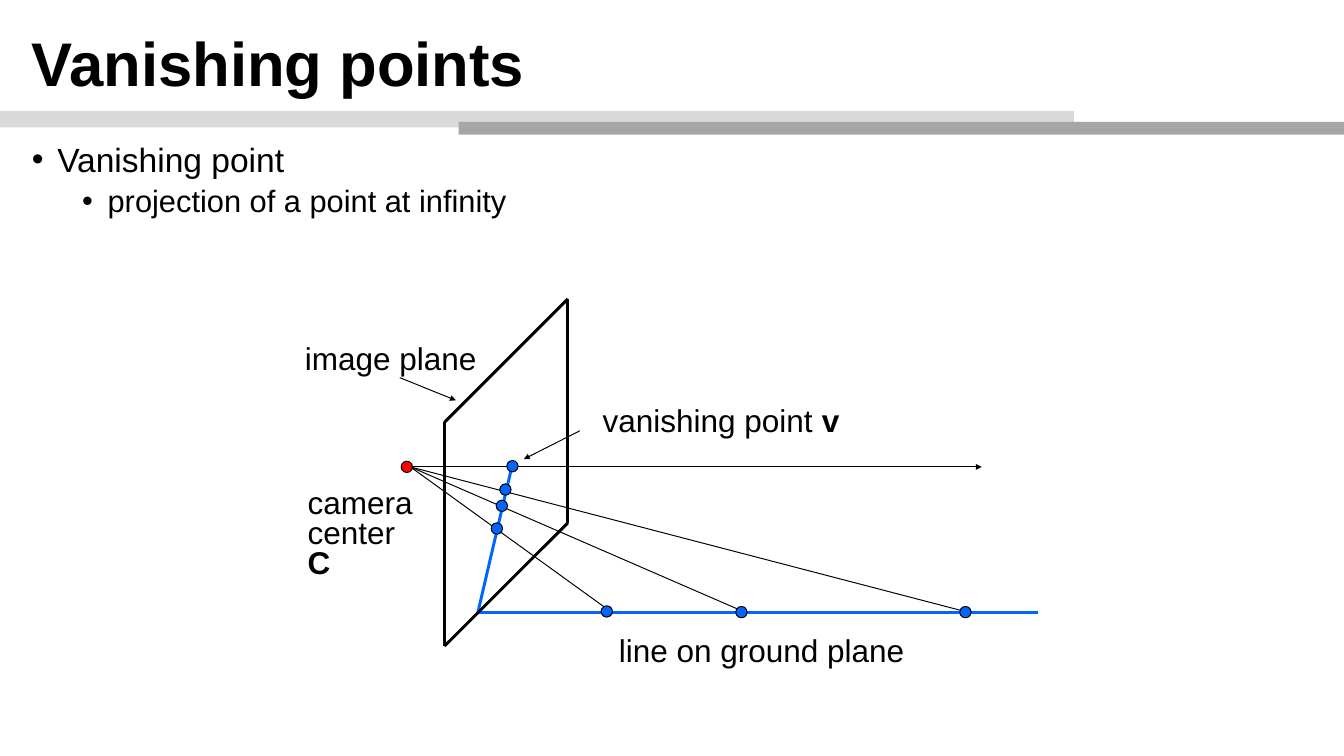
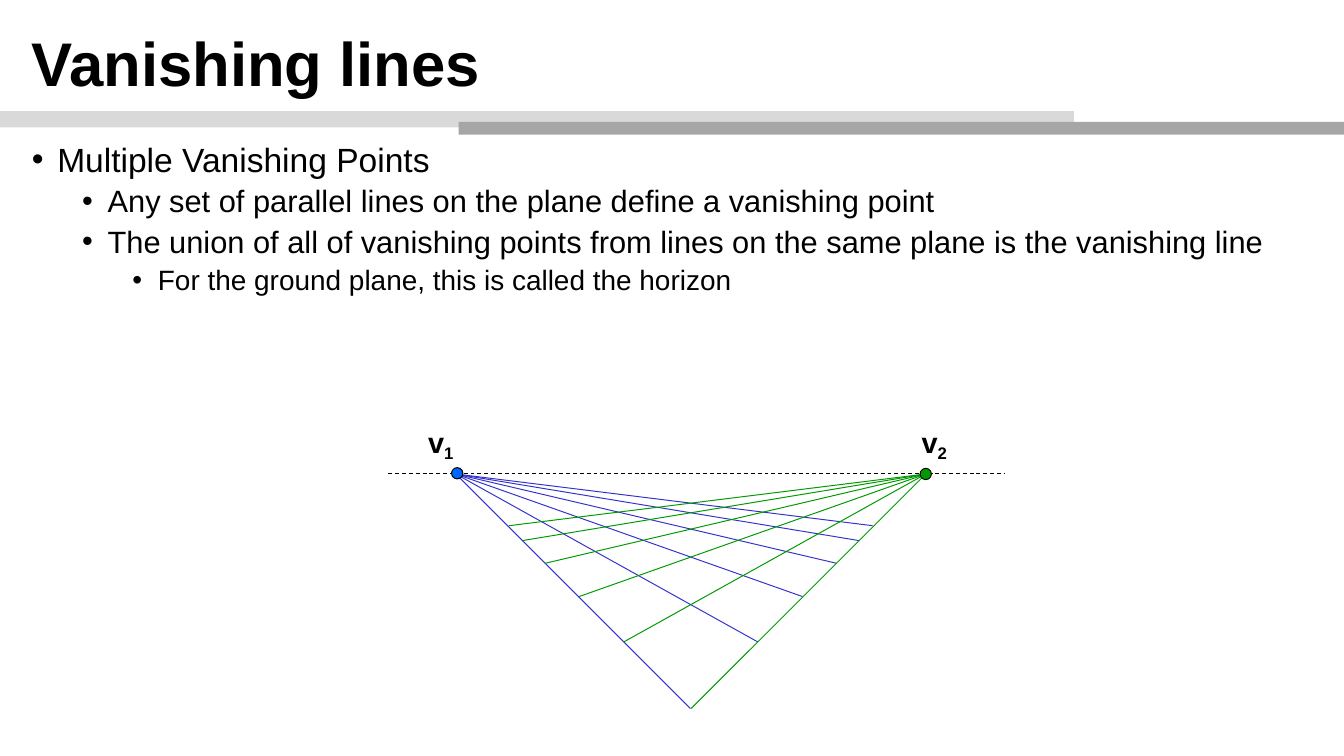
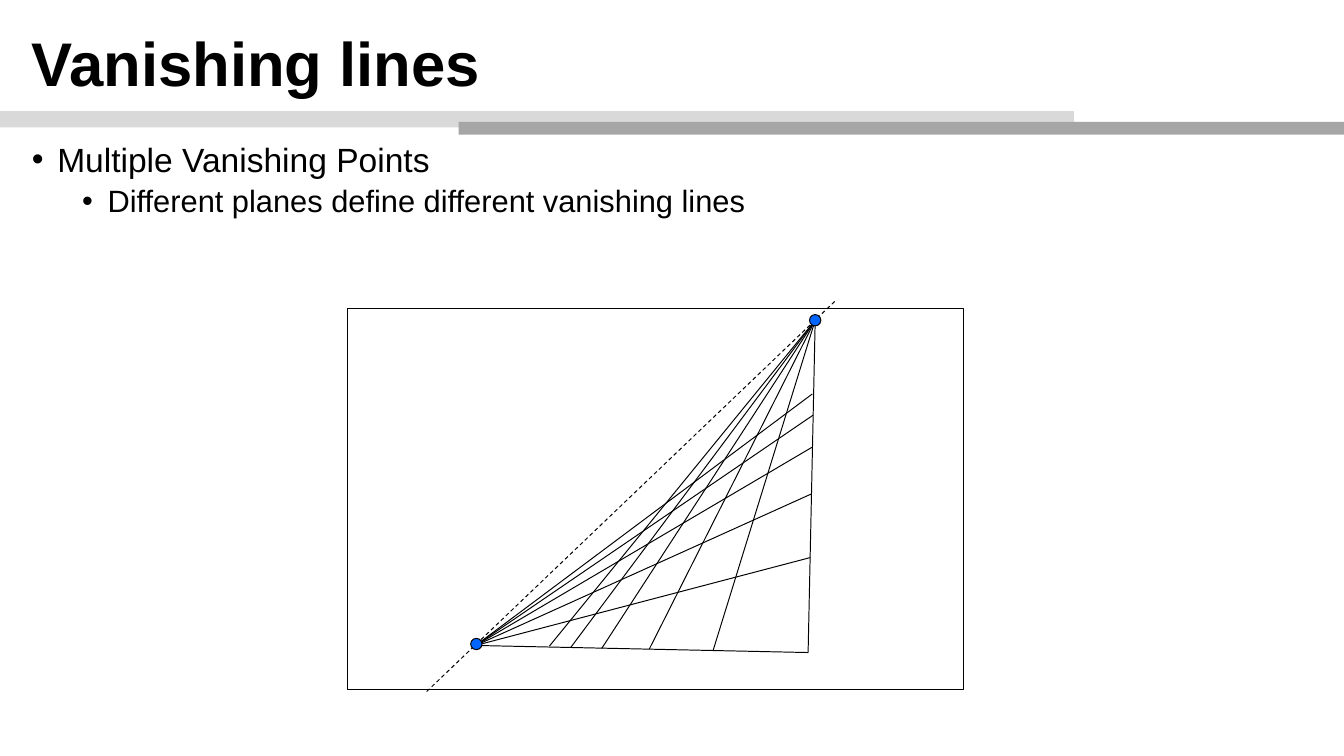
from lxml import etree
from pptx import Presentation
from pptx import util as u
from pptx.dml.color import RGBColor
from pptx.enum import dml, shapes, text
from pptx.oxml.ns import qn

PX = 9144
FONT = "Arial"
COLORS = {
    "white": "FFFFFF", "black": "000000", "light": "D9D9D9", "dark": "A6A6A6",
    "blue": "0066FF", "red": "FF0000", "green": "009900", "indigo": "3333CC",
}
SLIDE_SIZE = (1896, 1067)
BANDS = [((0, 157, 1515, 23), "light"), ((647, 172, 1249, 18), "dark")]
TITLE_BOX = (35, 22, 1823, 144)
TITLE_SIZE = 62.6
BODY_BOX = (35, 197, 1826, 848)
BODY_SIZES = [34.1, 31.3, 28.4]
HANGING = 36
LEVEL_STEP = 71
DOT = 16

POINT_TITLE = "Vanishing points"
POINT_BULLETS = [(0, "Vanishing point"), (1, "projection of a point at infinity")]
CAMERA = (579, 659)
GROUND_START = (674, 865)
GROUND_END = (1464, 865)
VANISHING = (722, 659)
HORIZON_END = (1385, 659)
GROUND_POINTS = [(864, 865), (1053, 865), (1369, 865)]
IMAGE_PLANE = [(801, 422), (801, 738), (627, 912), (627, 596)]
POINTERS = [((564, 533), (643, 565)), ((818, 608), (739, 648))]
POINT_DOTS = [(856, 863), (701, 746), (708, 714), (1046, 864),
              (713, 691), (1362, 864), (723, 658)]
CAMERA_DOT = (574, 659)
POINT_LABELS = [
    ((421, 470, 263, 73), [[("image plane", "")]]),
    ((864, 881, 425, 73), [[("line on ground plane", "")]]),
    ((841, 557, 355, 73), [[("vanishing point ", ""), ("v", "bold")]]),
    ((425, 672, 169, 159), [[("camera", "")], [("center", "")], [("C", "bold")]]),
]

LINES_TITLE = "Vanishing lines"
HORIZON_BULLETS = [
    (0, "Multiple Vanishing Points"),
    (1, "Any set of parallel lines on the plane define a vanishing point"),
    (1, "The union of all of vanishing points from lines on the same plane is the vanishing line"),
    (2, "For the ground plane, this is called the horizon"),
]
HORIZON = ((548, 669), (1417, 669))
V1, V2 = (643, 669), (1306, 669)
V1_ENDS = [(974, 1000), (1069, 906), (1132, 842), (1180, 795), (1212, 763), (1231, 742)]
V1_DOT, V2_DOT = (645, 668), V2
V_LABELS = [((595, 590, 79, 69), "1"), ((1291, 590, 79, 69), "2")]

PLANES_BULLETS = [
    (0, "Multiple Vanishing Points"),
    (1, "Different planes define different vanishing lines"),
]
FRAME = (490, 436, 869, 537)
TILTED_LINE = ((602, 976), (1178, 425))
LOWER, UPPER = (671, 911), (1150, 452)
LOWER_ENDS = [(1140, 921), (1143, 787), (1145, 697), (1146, 631), (1147, 586), (1146, 556)]
UPPER_ENDS = [(1140, 921), (1006, 918), (916, 916), (849, 915), (805, 914), (775, 912)]
PLANES_DOTS = [(1150, 452), (672, 909)]


def rgb(name):
    return RGBColor.from_string(COLORS[name])


def emu(values):
    return [value * PX for value in values]


def shape(slide, kind, box, fill=None, outline=None):
    item = slide.shapes.add_shape(kind, *emu(box))
    item.shadow.inherit = False
    if fill:
        item.fill.solid()
        item.fill.fore_color.rgb = rgb(fill)
    else:
        item.fill.background()
    if outline:
        item.line.color.rgb = rgb(outline)
        item.line.width = u.Pt(1)
    else:
        item.line.fill.background()


def dot(slide, center, fill="blue"):
    x, y = center
    shape(slide, shapes.MSO_SHAPE.OVAL, (x - DOT // 2, y - DOT // 2, DOT, DOT), fill, "black")


def line(slide, start, end, color="black", width=1, dashed=False, arrow=False):
    item = slide.shapes.add_connector(shapes.MSO_CONNECTOR.STRAIGHT, *emu(start + end))
    item.line.color.rgb = rgb(color)
    item.line.width = u.Pt(width)
    if dashed:
        item.line.dash_style = dml.MSO_LINE.DASH
    properties = item.element.spPr
    if arrow:
        etree.SubElement(properties.find(qn("a:ln")), qn("a:tailEnd"), type="triangle")
    etree.SubElement(properties, qn("a:effectLst"))


def fan(slide, apex, ends, color="black"):
    for end in ends:
        line(slide, apex, end, color)


def text_frame(slide, box, insets, wrap=True):
    frame = slide.shapes.add_textbox(*emu(box)).text_frame
    frame.word_wrap = wrap
    frame.margin_left = frame.margin_right = insets[0] * PX
    frame.margin_top = frame.margin_bottom = insets[1] * PX
    return frame


def paragraph_at(frame, index):
    return frame.add_paragraph() if index else frame.paragraphs[0]


def add_run(paragraph, words, size, bold=False):
    run = paragraph.add_run()
    run.text = words
    run.font.name = FONT
    run.font.size = u.Pt(size)
    run.font.bold = bold
    run.font.color.rgb = rgb("black")
    return run


def label(slide, box, paragraphs, size=32, wrap=False):
    frame = text_frame(slide, box, (9, 9), wrap)
    frame.auto_size = text.MSO_AUTO_SIZE.SHAPE_TO_FIT_TEXT
    for index, runs in enumerate(paragraphs):
        paragraph = paragraph_at(frame, index)
        if index:
            paragraph.line_spacing = 0.8
        for words, style in runs:
            run = add_run(paragraph, words, size, bool(style))
            if style == "subscript":
                run.font._element.set("baseline", "-20000")


def base_slide(deck, title, bullets):
    slide = deck.slides.add_slide(deck.slide_layouts[6])
    slide.background.fill.solid()
    slide.background.fill.fore_color.rgb = rgb("white")
    for box, color in BANDS:
        shape(slide, shapes.MSO_SHAPE.RECTANGLE, box, color)
    heading = text_frame(slide, TITLE_BOX, (10, 5))
    heading.vertical_anchor = text.MSO_ANCHOR.MIDDLE
    heading.paragraphs[0].line_spacing = 0.9
    add_run(heading.paragraphs[0], title, TITLE_SIZE, True)

    body = text_frame(slide, BODY_BOX, (10, 5))
    for index, (level, words) in enumerate(bullets):
        paragraph = paragraph_at(body, index)
        properties = paragraph._p.get_or_add_pPr()
        properties.set("marL", str((HANGING + level * LEVEL_STEP) * PX))
        properties.set("indent", str(-HANGING * PX))
        etree.SubElement(properties, qn("a:buFont"), typeface=FONT)
        etree.SubElement(properties, qn("a:buChar"), char="•")
        paragraph.level = level
        paragraph.line_spacing = 0.9
        if index:
            paragraph.space_before = u.Pt(7.1)
        add_run(paragraph, words, BODY_SIZES[level])
    return slide


def vanishing_point(deck):
    slide = base_slide(deck, POINT_TITLE, POINT_BULLETS)
    line(slide, GROUND_START, GROUND_END, "blue", 3)
    fan(slide, CAMERA, GROUND_POINTS)
    line(slide, GROUND_START, VANISHING, "blue", 3)
    line(slide, CAMERA, HORIZON_END, arrow=True)
    for start, end in POINTERS:
        line(slide, start, end, arrow=True)
    for start, end in zip(IMAGE_PLANE, IMAGE_PLANE[1:] + IMAGE_PLANE[:1]):
        line(slide, start, end, width=3)
    for center in POINT_DOTS:
        dot(slide, center)
    dot(slide, CAMERA_DOT, "red")
    for box, paragraphs in POINT_LABELS:
        label(slide, box, paragraphs)


def horizon(deck):
    slide = base_slide(deck, LINES_TITLE, HORIZON_BULLETS)
    line(slide, *HORIZON, dashed=True)
    fan(slide, V1, V1_ENDS, "indigo")
    fan(slide, V2, [(V1[0] + V2[0] - x, y) for x, y in V1_ENDS], "green")
    dot(slide, V2_DOT, "green")
    dot(slide, V1_DOT)
    for box, number in V_LABELS:
        label(slide, box, [[("v", "bold"), (number, "subscript")]], 29.3, True)


def tilted_plane(deck):
    slide = base_slide(deck, LINES_TITLE, PLANES_BULLETS)
    shape(slide, shapes.MSO_SHAPE.RECTANGLE, FRAME, outline="black")
    line(slide, *TILTED_LINE, dashed=True)
    fan(slide, LOWER, LOWER_ENDS)
    fan(slide, UPPER, UPPER_ENDS)
    for center in PLANES_DOTS:
        dot(slide, center)


def main():
    deck = Presentation()
    deck.slide_width, deck.slide_height = emu(SLIDE_SIZE)
    for build in (vanishing_point, horizon, tilted_plane):
        build(deck)
    deck.save("out.pptx")


if __name__ == "__main__":
    main()
